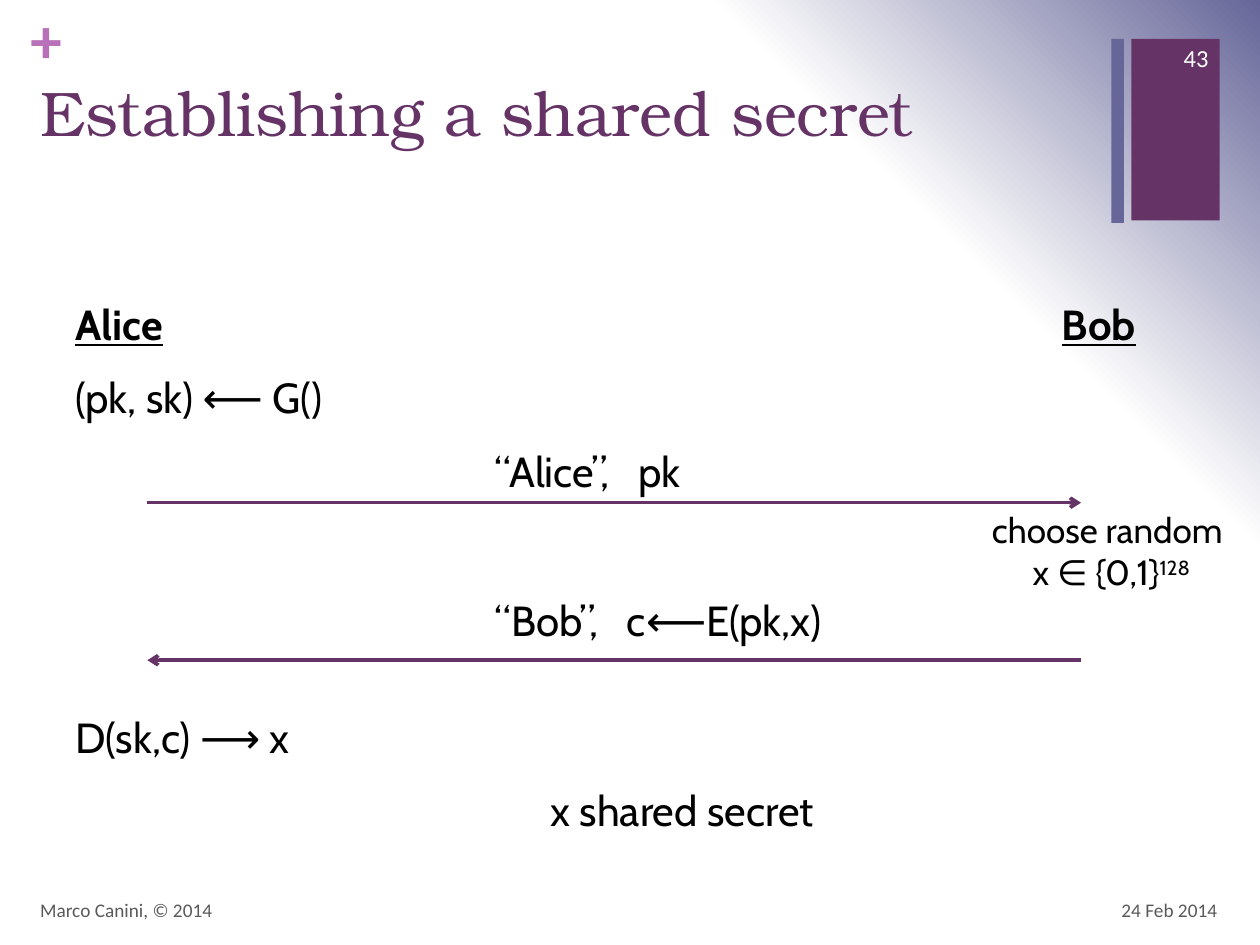
from pptx import Presentation
from pptx.dml.color import RGBColor
from pptx.enum.shapes import MSO_CONNECTOR, MSO_SHAPE
from pptx.enum.text import MSO_ANCHOR, MSO_AUTO_SIZE, PP_ALIGN
from pptx.oxml import parse_xml
from pptx.oxml.ns import nsdecls
from pptx.util import Inches, Pt

LEFT, CENTER, RIGHT = PP_ALIGN.LEFT, PP_ALIGN.CENTER, PP_ALIGN.RIGHT
TOP, MIDDLE = MSO_ANCHOR.TOP, MSO_ANCHOR.MIDDLE
NO_FIT, GROW = MSO_AUTO_SIZE.NONE, MSO_AUTO_SIZE.SHAPE_TO_FIT_TEXT
RECT, STRAIGHT = MSO_SHAPE.RECTANGLE, MSO_CONNECTOR.STRAIGHT

PLUM = RGBColor(0x66, 0x33, 0x66)
SLATE = RGBColor(0x66, 0x66, 0x99)
ORCHID = RGBColor(0xB8, 0x70, 0xB8)
GRAY = RGBColor(0x59, 0x59, 0x59)
BLACK = RGBColor(0, 0, 0)
WHITE = RGBColor(0xFF, 0xFF, 0xFF)

TITLE_FONT, BODY_FONT, SMALL_FONT = "TeX Gyre Bonum", "Cabin", "Calibri"
COLS, ROWS = 100, 75  # grid over the 10 x 7.5 inch slide
SUPERSCRIPT = "30000"


class Deck:
    """Holds the style and the current slide; lengths are grid columns and rows."""

    def __init__(self):
        self.prs = Presentation()
        self.prs.slide_width, self.prs.slide_height = Inches(10), Inches(7.5)
        self.s = self.prs.slides.add_slide(self.prs.slide_layouts[5])

    def x(self, cols):
        return round(self.prs.slide_width * cols / COLS)

    def y(self, rows):
        return round(self.prs.slide_height * rows / ROWS)

    def box(self, left, top, width, height):
        return self.x(left), self.y(top), self.x(width), self.y(height)

    def background(self, stops):
        """Circular gradient that spreads from the bottom left corner."""
        gs = "".join(f'<a:gs pos="{pos * 1000}"><a:srgbClr val="{color}"/></a:gs>'
                     for pos, color in stops)
        bg = parse_xml(
            f'<p:bg {nsdecls("p", "a")}><p:bgPr><a:gradFill rotWithShape="1">'
            f'<a:gsLst>{gs}</a:gsLst><a:path path="circle">'
            '<a:fillToRect t="100000" r="100000"/></a:path></a:gradFill>'
            '<a:effectLst/></p:bgPr></p:bg>')
        self.s.element.cSld.insert(0, bg)

    def format(self, p, size, font, color, align=LEFT, bold=False, underline=False):
        p.alignment = align
        f = p.font
        f.size, f.name, f.bold, f.underline = Pt(size), font, bold, underline
        f.color.rgb = color

    def title(self, text, *box):
        sp = self.s.shapes.title
        sp.left, sp.top, sp.width, sp.height = self.box(*box)
        tf = sp.text_frame
        tf.text, tf.vertical_anchor, tf.auto_size = text, TOP, NO_FIT
        self.format(tf.paragraphs[0], 36, TITLE_FONT, PLUM)

    def bar(self, color, *box):
        sp = self.s.shapes.add_shape(RECT, *self.box(*box))
        sp.shadow.inherit = False
        sp.fill.solid()
        sp.fill.fore_color.rgb = color
        sp.line.fill.background()

    def text(self, text, *box, size=24, font=BODY_FONT, color=BLACK,
             wrap=False, fit=GROW, anchor=TOP, **style):
        tf = self.s.shapes.add_textbox(*self.box(*box)).text_frame
        tf.text, tf.word_wrap, tf.auto_size, tf.vertical_anchor = text, wrap, fit, anchor
        for p in tf.paragraphs:
            self.format(p, size, font, color, **style)
        return tf

    def small(self, text, *box, size=11, color=GRAY, align=LEFT):
        self.text(text, *box, size=size, color=color, align=align, font=SMALL_FONT,
                  wrap=True, fit=NO_FIT, anchor=MIDDLE)

    def arrow(self, start, end, row):
        sp = self.s.shapes.add_connector(
            STRAIGHT, self.x(start), self.y(row), self.x(end), self.y(row))
        sp.line.color.rgb, sp.line.width = PLUM, Pt(2)
        sp.line._get_or_add_ln().append(
            parse_xml(f'<a:tailEnd {nsdecls("a")} type="arrow"/>'))
        sp._element.spPr.append(parse_xml(f'<a:effectLst {nsdecls("a")}/>'))


def main():
    deck = Deck()
    deck.background([(0, WHITE), (75, WHITE), (100, SLATE)])
    deck.bar(PLUM, 89.8, 3.1, 7, 14.4)
    deck.bar(SLATE, 88.2, 3.1, 1, 14.6)
    plus = deck.text("+", 2.4, 0, 2.9, 6.1, size=36, font=SMALL_FONT,
                     color=ORCHID, wrap=True, bold=True)
    plus.margin_left = plus.margin_top = plus.margin_right = plus.margin_bottom = 0
    deck.title("Establishing a shared secret", 2.2, 5.3, 85.9, 12.2)

    for name, left, width in (("Alice", 5, 10.1), ("Bob", 83.3, 8.5)):
        deck.text(name, left, 23.2, width, 5, bold=True, underline=True)
    for step, left, top, width in (
            ("(pk, sk) ⟵ G()", 5, 29, 24.3),
            ("“Alice”,   pk", 38.3, 34.9, 19.1),
            ("“Bob”,   c⟵E(pk,x)", 38.3, 46.7, 30.5),
            ("D(sk,c) ⟶ x", 5, 56, 20.4),
            ("x shared secret", 42.7, 61.8, 24.7)):
        deck.text(step, left, top, width, 5)

    choice = deck.text("choose random \nx ∈ {0,1}", 77.7, 39.9, 21, 7.7,
                       size=20, align=CENTER)
    r = choice.paragraphs[1].add_run()
    r.text = "128"
    r.font._element.set("baseline", SUPERSCRIPT)

    alice, bob = 11.7, 85.8
    deck.arrow(alice, bob, 39.9)
    deck.arrow(bob, alice, 52.4)

    deck.small("24 Feb 2014", 74.3, 70.2, 23.3, 4, align=RIGHT)
    deck.small("Marco Canini, © 2014", 2.2, 70.2, 67, 4)
    deck.small("43", 90.8, 2.6, 6.1, 4, size=14, color=WHITE, align=RIGHT)
    deck.prs.save("out.pptx")


if __name__ == "__main__":
    main()
